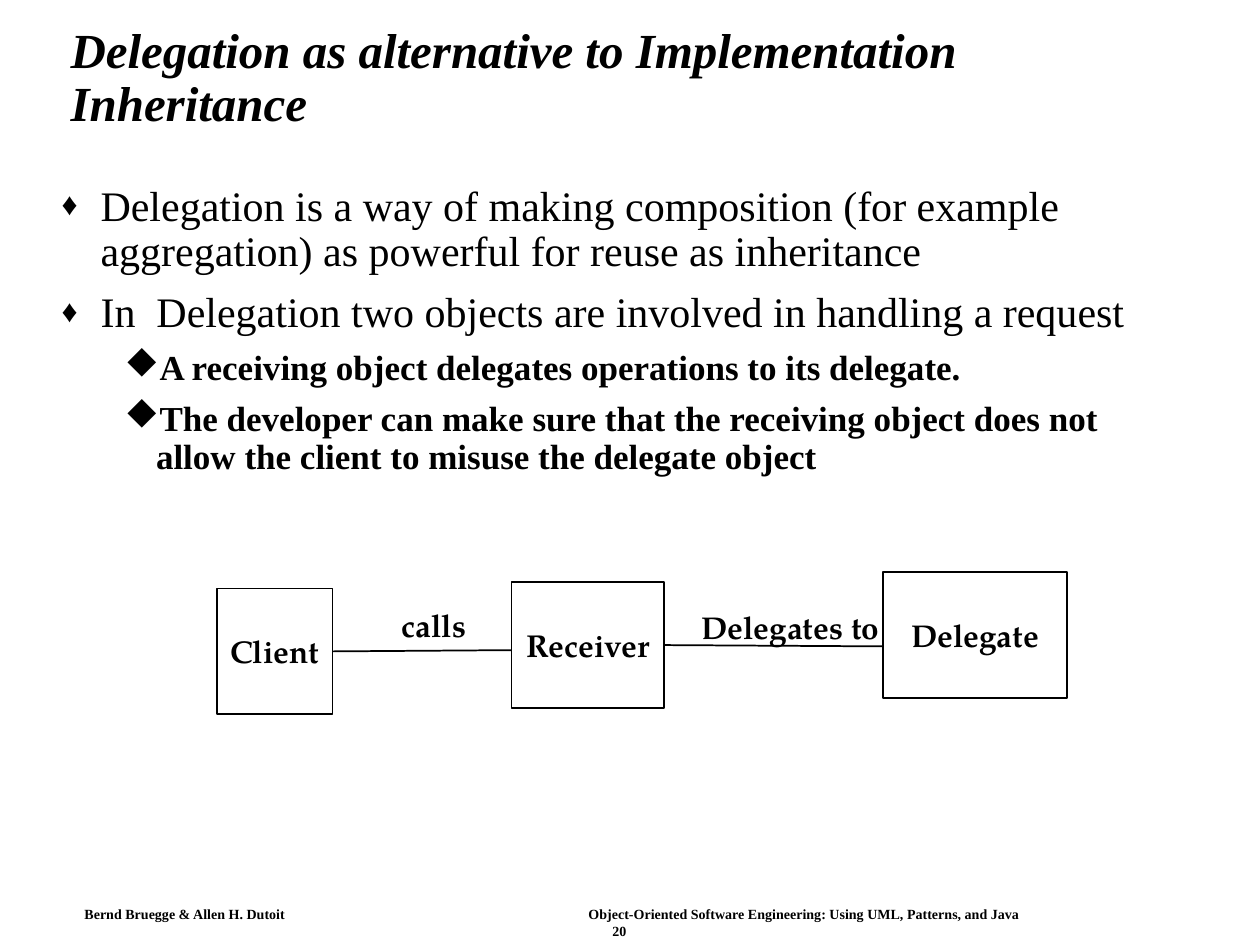
from lxml import etree
from pptx import Presentation
from pptx.dml.color import RGBColor
from pptx.enum.shapes import MSO_CONNECTOR, MSO_SHAPE
from pptx.enum.text import MSO_ANCHOR, MSO_AUTO_SIZE, PP_ALIGN
from pptx.oxml.ns import qn
from pptx.util import Inches, Pt

BLACK = RGBColor(0x00, 0x00, 0x00)
WHITE = RGBColor(0xFF, 0xFF, 0xFF)
LEFT, CENTER = PP_ALIGN.LEFT, PP_ALIGN.CENTER
TOP, MIDDLE = MSO_ANCHOR.TOP, MSO_ANCHOR.MIDDLE
NO_AUTOFIT = MSO_AUTO_SIZE.NONE
RECTANGLE = MSO_SHAPE.RECTANGLE
STRAIGHT = MSO_CONNECTOR.STRAIGHT
RIGHT_SIDE = 3
LINE_SPACING = 0.9

SERIF = "Times New Roman"
PAGELLA = "TeX Gyre Pagella"
TITLE_FONT = {"name": SERIF, "size": Pt(28), "bold": True, "italic": True}
DIAGRAM_FONT = {"name": PAGELLA, "size": Pt(18), "bold": True}
FOOTER_FONT = {"name": SERIF, "size": Pt(8), "bold": True}

LEVELS = [
    {
        "font": {"name": SERIF, "size": Pt(24), "bold": False},
        "margin": 0.31, "hanging": 0.31, "space": 9,
        "bullet": [
            ("a:buSzPct", {"val": "75000"}),
            ("a:buFont", {"typeface": SERIF}),
            ("a:buChar", {"char": "♦"}),
        ],
    },
    {
        "font": {"name": SERIF, "size": Pt(20), "bold": True},
        "margin": 0.75, "hanging": 0.25, "space": 7.5,
        "bullet": [
            ("a:buSzPct", {"val": "100000"}),
            ("a:buFont", {"typeface": "Wingdings", "charset": "2"}),
            ("a:buChar", {"char": "u"}),
        ],
    },
]

TITLE = "Delegation as alternative to Implementation Inheritance"
BULLETS = [
    (0, "Delegation is a way of making composition (for example "
        "aggregation) as powerful for reuse as inheritance"),
    (0, "In  Delegation two objects are involved in handling a request"),
    (1, "A receiving object delegates operations to its delegate."),
    (1, "The developer can make sure that the receiving object does not allow "
        "the client to misuse the delegate object"),
]
CLASSES = {
    "Client": (1.72, 4.67, 0.92, 1),
    "Receiver": (4.06, 4.62, 1.21, 1),
    "Delegate": (7.01, 4.54, 1.46, 1),
}
RELATIONS = [
    ("Client", (4.06, 5.16), "calls", (3.09, 4.76, 0.8, 0.4)),
    ("Receiver", (7.01, 5.13), "Delegates to", (5.47, 4.78, 1.67, 0.4)),
]
AUTHORS = "Bernd Bruegge & Allen H. Dutoit"
BOOK = "Object-Oriented Software Engineering: Using UML, Patterns, and Java"
PAGE = "20"
BOOK_TAB = 4


def set_values(target, values):
    for name, value in values.items():
        setattr(target, name, value)


def format_frame(frame, wrap=True, anchor=TOP, side=0.1, end=0.05):
    set_values(frame, {
        "word_wrap": wrap, "vertical_anchor": anchor, "auto_size": NO_AUTOFIT,
        "margin_left": Inches(side), "margin_right": Inches(side),
        "margin_top": Inches(end), "margin_bottom": Inches(end),
    })


def write(paragraph, text, font, alignment=LEFT):
    paragraph.text = text
    paragraph.alignment = alignment
    set_values(paragraph.font, font)
    paragraph.font.color.rgb = BLACK


def add_text_box(slide, box, **frame_format):
    frame = slide.shapes.add_textbox(*map(Inches, box)).text_frame
    format_frame(frame, **frame_format)
    return frame


def add_title(slide):
    title = slide.shapes.title
    box = map(Inches, (0.46, 0.24, 8.92, 0.77))
    set_values(title, dict(zip(("left", "top", "width", "height"), box)))
    format_frame(title.text_frame, anchor=MIDDLE)
    paragraph = title.text_frame.paragraphs[0]
    write(paragraph, TITLE, TITLE_FONT)
    paragraph.line_spacing = LINE_SPACING


def add_bullets(slide):
    frame = add_text_box(slide, (0.39, 1.42, 9.03, 5.38))
    for index, (level, text) in enumerate(BULLETS):
        style = LEVELS[level]
        paragraph = frame.add_paragraph() if index else frame.paragraphs[0]
        paragraph.level = level
        paragraph.line_spacing = LINE_SPACING
        paragraph.space_before = Pt(style["space"] if index else 0)
        properties = paragraph._p.get_or_add_pPr()
        properties.set("marL", str(Inches(style["margin"])))
        properties.set("indent", str(-Inches(style["hanging"])))
        for tag, attributes in style["bullet"]:
            etree.SubElement(properties, qn(tag), attributes)
        write(paragraph, text, style["font"])


def add_class(slide, name, box):
    shape = slide.shapes.add_shape(RECTANGLE, *map(Inches, box))
    shape.shadow.inherit = False
    shape.fill.solid()
    shape.fill.fore_color.rgb = WHITE
    shape.line.color.rgb = BLACK
    shape.line.width = Pt(1)
    format_frame(shape.text_frame, wrap=False, anchor=MIDDLE)
    write(shape.text_frame.paragraphs[0], name, DIAGRAM_FONT, CENTER)
    return shape


def add_diagram(slide):
    shapes = {name: add_class(slide, name, box) for name, box in CLASSES.items()}
    for source, end, label, box in RELATIONS:
        x, y = map(Inches, end)
        connector = slide.shapes.add_connector(STRAIGHT, x, y, x, y)
        connector.begin_connect(shapes[source], RIGHT_SIDE)
        connector.line.color.rgb = BLACK
        connector.line.width = Pt(1)
        etree.SubElement(connector._element.spPr, qn("a:effectLst"))
        frame = add_text_box(slide, box)
        write(frame.paragraphs[0], label, DIAGRAM_FONT)


def add_footer(slide):
    frame = add_text_box(slide, (0.59, 7.15, 8.65, 0.34), side=0.08, end=0.04)
    credit = frame.paragraphs[0]
    tabs = etree.SubElement(credit._p.get_or_add_pPr(), qn("a:tabLst"))
    tab = {"pos": str(Inches(BOOK_TAB)), "algn": "l"}
    etree.SubElement(tabs, qn("a:tab"), tab)
    write(credit, f"{AUTHORS}\t{BOOK}", FOOTER_FONT)
    write(frame.add_paragraph(), PAGE, FOOTER_FONT, CENTER)


def main():
    presentation = Presentation()
    presentation.slide_width = Inches(10)
    presentation.slide_height = Inches(7.5)
    slide = presentation.slides.add_slide(presentation.slide_layouts[5])
    add_footer(slide)
    add_diagram(slide)
    add_title(slide)
    add_bullets(slide)
    presentation.save("out.pptx")


if __name__ == "__main__":
    main()
